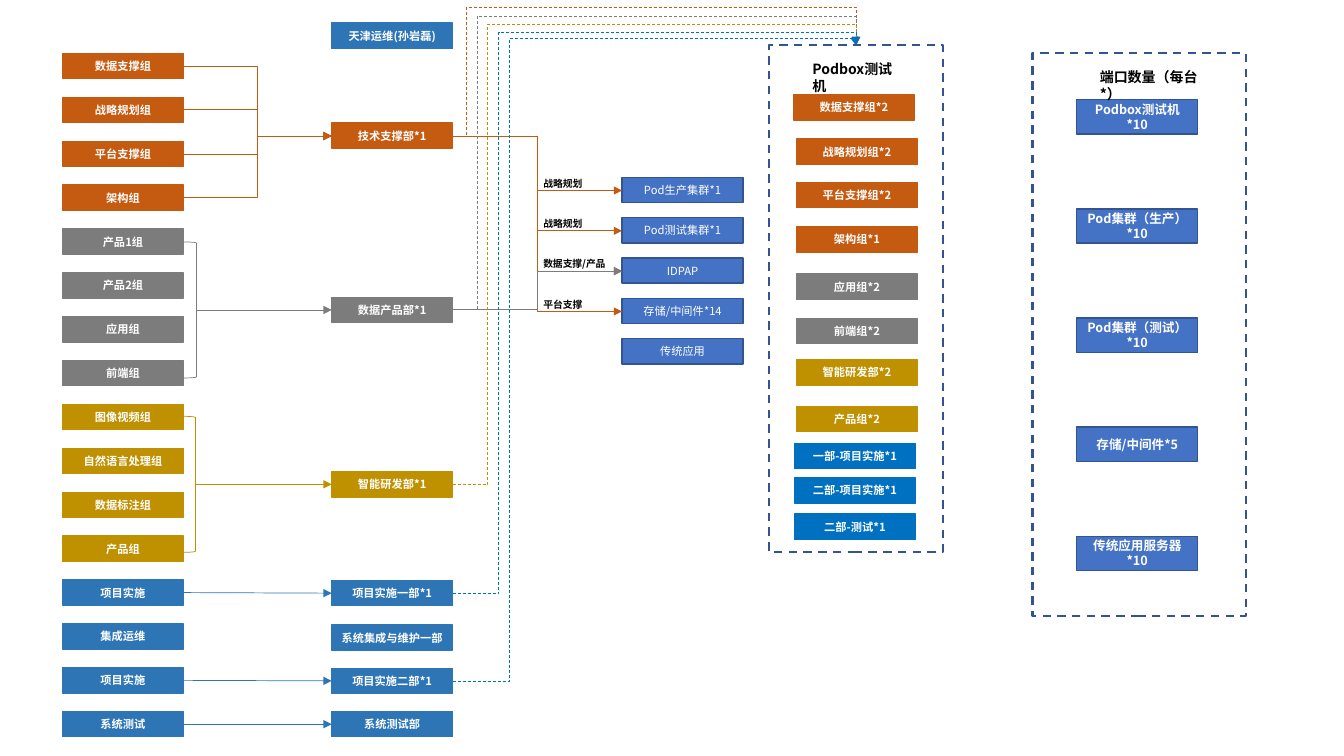
from dataclasses import dataclass

from lxml.etree import SubElement
from pptx import Presentation
from pptx.dml.color import RGBColor
from pptx.enum.dml import MSO_LINE
from pptx.enum.shapes import MSO_CONNECTOR, MSO_SHAPE
from pptx.enum.text import MSO_ANCHOR, MSO_AUTO_SIZE, PP_ALIGN
from pptx.oxml.ns import qn
from pptx.util import Inches, Pt


@dataclass(frozen=True)
class Theme:
    """Colours, font and type sizes of the slide."""
    orange: str = "C55A11"
    grey: str = "7C7C7C"
    gold: str = "BF9000"
    blue: str = "2E75B6"
    bright: str = "0070C0"
    cluster: str = "4472C4"
    navy: str = "325491"
    white: str = "FFFFFF"
    black: str = "000000"
    font: str = "Noto Sans CJK SC"
    label: int = 7
    body: int = 8
    port: int = 9
    heading: int = 10


THEME = Theme()
BOX_WIDTH, BOX_HEIGHT = 1.2, 0.25
GROUP_LEFT, DEPARTMENT_LEFT, CLUSTER_LEFT = 0.62, 3.29, 6.17
GROUP_RIGHT = GROUP_LEFT + BOX_WIDTH
DEPARTMENT_RIGHT = DEPARTMENT_LEFT + BOX_WIDTH
CLUSTER_STEP = 0.4
TEST_X, TEST_TOP = 8.49, 0.45

GROUPS = [
    (THEME.orange, ["数据支撑组", "战略规划组", "平台支撑组", "架构组"]),
    (THEME.grey, ["产品1组", "产品2组", "应用组", "前端组"]),
    (THEME.gold, ["图像视频组", "自然语言处理组", "数据标注组", "产品组"]),
    (THEME.blue, ["项目实施", "集成运维", "项目实施", "系统测试"]),
]
DEPARTMENTS = [
    ("天津运维(孙岩磊)", 0.23, THEME.blue),
    ("技术支撑部*1", 1.22, THEME.orange),
    ("数据产品部*1", 2.95, THEME.grey),
    ("智能研发部*1", 4.68, THEME.gold),
    ("项目实施一部*1", 5.76, THEME.blue),
    ("系统集成与维护一部", 6.2, THEME.blue),
    ("项目实施二部*1", 6.63, THEME.blue),
    ("系统测试部", 7.06, THEME.blue),
]
CLUSTERS = ["Pod生产集群*1", "Pod测试集群*1", "IDPAP", "存储/中间件*14", "传统应用"]
CLUSTER_LABELS = [("战略规划", 0.59), ("战略规划", 0.59),
                  ("数据支撑/产品", 0.83), ("平台支撑", 0.59)]
TEST_ROUTES = [
    (1.35, 0.07, THEME.orange),
    (3.07, 0.16, THEME.grey),
    (4.81, 0.24, THEME.gold),
    (5.89, 0.32, THEME.bright),
    (6.76, 0.38, THEME.bright),
]
TEST_SHARES = [
    ("数据支撑组*2", 7.87, 0.94, THEME.orange),
    ("战略规划组*2", 7.9, 1.38, THEME.orange),
    ("平台支撑组*2", 7.9, 1.81, THEME.orange),
    ("架构组*1", 7.9, 2.25, THEME.orange),
    ("应用组*2", 7.9, 2.72, THEME.grey),
    ("前端组*2", 7.9, 3.16, THEME.grey),
    ("智能研发部*2", 7.9, 3.57, THEME.gold),
    ("产品组*2", 7.9, 4.03, THEME.gold),
    ("一部-项目实施*1", 7.88, 4.4, THEME.bright),
    ("二部-项目实施*1", 7.88, 4.74, THEME.bright),
    ("二部-测试*1", 7.88, 5.1, THEME.bright),
]
PORTS = ["Podbox测试机*10", "Pod集群（生产）*10", "Pod集群（测试）*10",
         "存储/中间件*5", "传统应用服务器*10"]


def write(paragraph, text, size, color, bold):
    """Add one styled run to a paragraph."""
    run = paragraph.add_run()
    run.text = text
    run.font.size = Pt(size)
    run.font.bold = bold
    run.font.color.rgb = RGBColor.from_string(color)
    run.font.name = THEME.font
    SubElement(run.font._element, qn("a:ea"), typeface=THEME.font)


def add_outline(slide, preset, left, top, width, height, color, weight):
    """Add an unfilled preset shape with a coloured line."""
    outline = slide.shapes.add_shape(
        preset, Inches(left), Inches(top), Inches(width), Inches(height))
    outline.shadow.inherit = False
    outline.fill.background()
    outline.line.color.rgb = RGBColor.from_string(color)
    outline.line.width = Pt(weight)
    return outline


def add_box(slide, text, left, top, fill, border=None, height=BOX_HEIGHT,
            size=THEME.body, bold=True, margin=0.05):
    """Add a filled rectangle with centred white text."""
    box = add_outline(slide, MSO_SHAPE.RECTANGLE, left, top, BOX_WIDTH, height,
                      border or fill, 1)
    box.fill.solid()
    box.fill.fore_color.rgb = RGBColor.from_string(fill)
    frame = box.text_frame
    frame.word_wrap = True
    frame.vertical_anchor = MSO_ANCHOR.MIDDLE
    frame.margin_left = frame.margin_right = Inches(margin)
    frame.paragraphs[0].alignment = PP_ALIGN.CENTER
    write(frame.paragraphs[0], text, size, THEME.white, bold)
    return box


def add_label(slide, text, left, top, width, height, size):
    """Add a bold black caption."""
    label = slide.shapes.add_textbox(
        Inches(left), Inches(top), Inches(width), Inches(height))
    label.text_frame.word_wrap = True
    label.text_frame.auto_size = MSO_AUTO_SIZE.SHAPE_TO_FIT_TEXT
    write(label.text_frame.paragraphs[0], text, size, THEME.black, True)


def add_arrow(slide, kind, start, end, color):
    """Add a thin connector with a triangle at its end."""
    arrow = slide.shapes.add_connector(kind, *map(Inches, start + end))
    arrow.line.color.rgb = RGBColor.from_string(color)
    arrow.line.width = Pt(0.5)
    SubElement(arrow.line._get_or_add_ln(), qn("a:tailEnd"), type="triangle")
    SubElement(arrow._element.spPr, qn("a:effectLst"))
    return arrow


def add_test_route(slide, start_y, lane_x, lane_y, color):
    """Add a dashed route that climbs a lane and drops onto the test frame."""
    route = add_arrow(slide, MSO_CONNECTOR.ELBOW, (DEPARTMENT_RIGHT, start_y),
                      (TEST_X, TEST_TOP), color)
    route.line.dash_style = MSO_LINE.DASH
    geometry = route._element.spPr.find(qn("a:prstGeom"))
    geometry.set("prst", "bentConnector4")
    guides = geometry.find(qn("a:avLst"))
    ratios = ((lane_x - DEPARTMENT_RIGHT) / (TEST_X - DEPARTMENT_RIGHT),
              (start_y - lane_y) / (start_y - TEST_TOP))
    for number, ratio in enumerate(ratios, 1):
        SubElement(guides, qn("a:gd"), name=f"adj{number}",
                   fmla=f"val {round(ratio * 100000)}")


def add_frame(slide, title, title_place, place):
    """Add a dashed frame and its heading."""
    frame = add_outline(slide, MSO_SHAPE.RECTANGLE, *place, THEME.navy, 1.5)
    frame.line.dash_style = MSO_LINE.DASH
    add_label(slide, title, *title_place, THEME.heading)


def add_organisation(slide):
    """Add groups, departments and the links between them."""
    members = [(name, color) for color, names in GROUPS for name in names]
    groups = [add_box(slide, name, GROUP_LEFT, 0.53 + row * 6.53 / 15, color)
              for row, (name, color) in enumerate(members)]
    departments = [add_box(slide, name, DEPARTMENT_LEFT, top, color)
                   for name, top, color in DEPARTMENTS]
    for group_y in (0.66, 1.09, 1.53, 1.96):
        add_arrow(slide, MSO_CONNECTOR.ELBOW, (GROUP_RIGHT, group_y),
                  (DEPARTMENT_LEFT, 1.35), THEME.orange)
    for left, top, color, department in ((1.82, 2.4, THEME.grey, departments[2]),
                                         (1.81, 4.13, THEME.gold, departments[3])):
        add_outline(slide, MSO_SHAPE.RIGHT_BRACKET, left, top, 0.13, 1.35, color, 0.5)
        middle = top + 1.35 / 2
        arrow = add_arrow(slide, MSO_CONNECTOR.STRAIGHT, (left + 0.13, middle),
                          (DEPARTMENT_LEFT, middle), color)
        arrow.end_connect(department, 1)
    for group, department in ((12, 4), (14, 6), (15, 7)):
        arrow = add_arrow(slide, MSO_CONNECTOR.STRAIGHT, (GROUP_RIGHT, 5.89),
                          (DEPARTMENT_LEFT, 5.89), THEME.blue)
        arrow.begin_connect(groups[group], 3)
        arrow.end_connect(departments[department], 1)


def add_clusters(slide):
    """Add the cluster boxes with their captioned links."""
    for row, name in enumerate(CLUSTERS):
        add_box(slide, name, CLUSTER_LEFT, 1.76 + row * CLUSTER_STEP, THEME.cluster,
                THEME.navy, bold=False)
    links = [(1.35, row, THEME.orange) for row in range(4)] + [(3.07, 2, THEME.grey)]
    for start_y, row, color in links:
        add_arrow(slide, MSO_CONNECTOR.ELBOW, (DEPARTMENT_RIGHT, start_y),
                  (CLUSTER_LEFT, 1.89 + row * CLUSTER_STEP), color)
    for row, (caption, width) in enumerate(CLUSTER_LABELS):
        add_label(slide, caption, 5.29, 1.71 + row * CLUSTER_STEP, width, 0.22,
                  THEME.label)


def main():
    """Build and save the slide."""
    deck = Presentation()
    deck.slide_width, deck.slide_height = Inches(13.33), Inches(7.5)
    slide = deck.slides.add_slide(deck.slide_layouts[6])
    add_organisation(slide)
    add_clusters(slide)
    for lane, (start_y, lane_y, color) in enumerate(TEST_ROUTES):
        add_test_route(slide, start_y, 4.63 + lane * 0.42 / 4, lane_y, color)
    for share, left, top, color in TEST_SHARES:
        add_box(slide, share, left, top, color)
    add_frame(slide, "Podbox测试机", (7.96, 0.55, 1.07, 0.27),
              (7.63, TEST_TOP, 1.72, 5.03))
    for row, port in enumerate(PORTS):
        add_box(slide, port, 10.68, 0.99 + row * 4.33 / 4, THEME.cluster, THEME.navy,
                height=0.34, size=THEME.port, margin=0.1)
    add_frame(slide, "端口数量（每台*）", (10.81, 0.63, 1.18, 0.27),
              (10.24, 0.53, 2.12, 5.58))
    deck.save("out.pptx")


if __name__ == "__main__":
    main()
